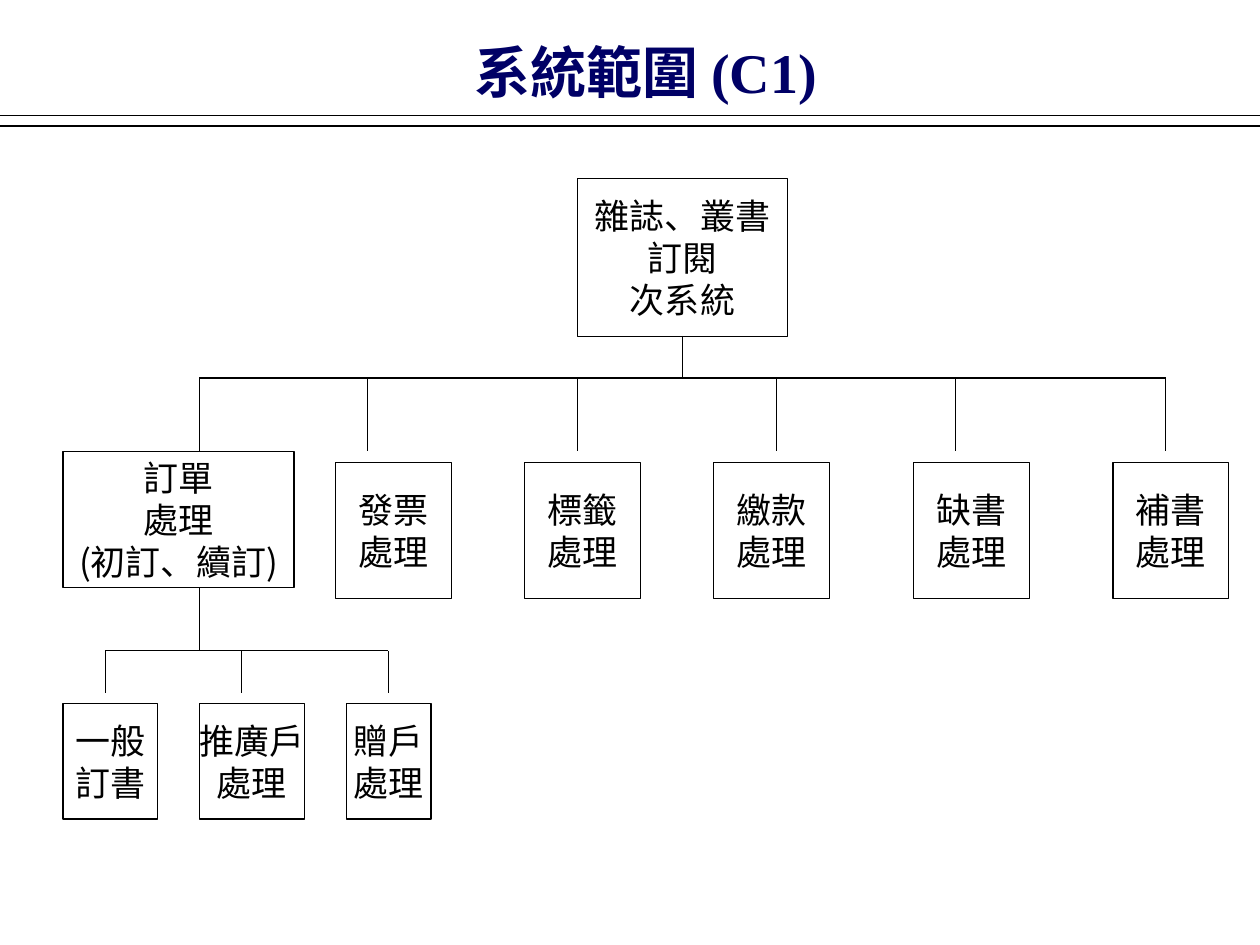
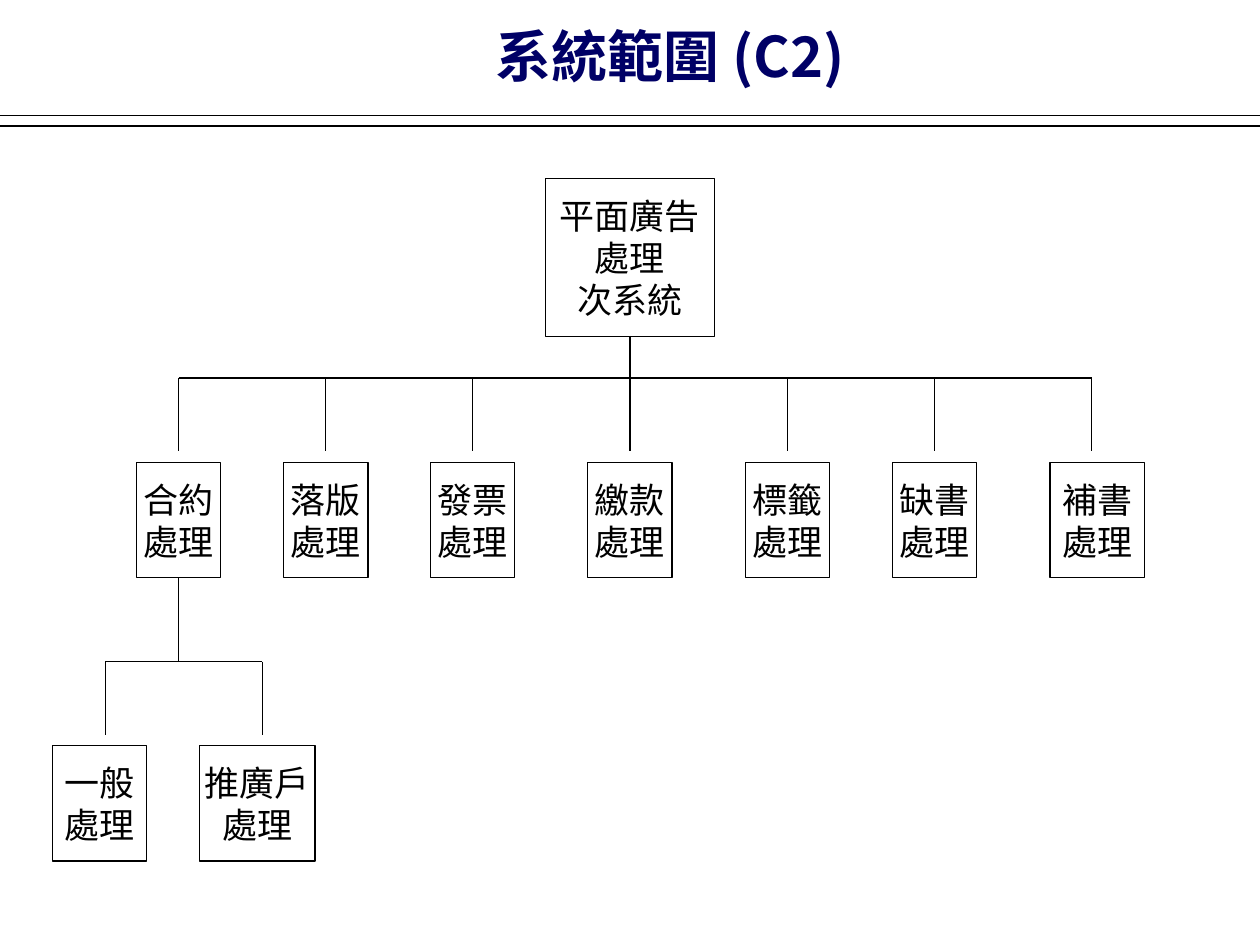
import pptx
import pptx.util
import pptx.dml.color
import pptx.enum.shapes
import pptx.enum.text
import pptx.oxml
import pptx.oxml.ns
import lxml.etree

Cm = pptx.util.Cm
Pt = pptx.util.Pt
qn = pptx.oxml.ns.qn
NAVY = pptx.dml.color.RGBColor(0x00, 0x00, 0x66)
BLACK = pptx.dml.color.RGBColor(0x00, 0x00, 0x00)
SANS = "Noto Sans CJK SC"
SERIF = "Times New Roman"
WIDTH = 25.4
BUS = 7.62
ROW = 9.32


def rule(slide, x1, y1, x2, y2):
    line = slide.shapes.add_connector(
        pptx.enum.shapes.MSO_CONNECTOR.STRAIGHT, Cm(x1), Cm(y1), Cm(x2), Cm(y2))
    line.line.color.rgb = BLACK
    line.line.width = Pt(0.75)
    lxml.etree.SubElement(line._element.spPr, qn("a:effectLst"))


def write(frame, text, size, color, face):
    frame.text = text
    for para in frame.paragraphs:
        para.line_spacing = Pt(size * 1.2)
        font = para.font
        font.size = Pt(size)
        font.color.rgb = color
        font.name = face
        base = para._p.pPr.find(qn("a:defRPr"))
        lxml.etree.SubElement(base, qn("a:ea"), typeface=SANS)


charts = [
    {
        "title": ("系統範圍 (C1)", 9.31, 0.64, SERIF),
        "root": 13.76,
        "drops": [4.02, 7.41, 11.64, 15.66, 19.26, 23.5],
        "stem": (4.02, 11.85, 13.12),
        "twigs": [2.12, 4.87, 7.83],
        "tip": 13.97,
        "boxes": [
            ("雜誌、叢書\n訂閱\n次系統", 11.64, 3.6, 4.24, 3.18, SANS),
            ("訂單\n處理\n(初訂、續訂)", 1.27, 9.1, 4.66, 2.75, SANS),
            ("發票\n處理", 6.77, ROW, 2.33, 2.75, SANS),
            ("標籤\n處理", 10.58, ROW, 2.33, 2.75, SANS),
            ("繳款\n處理", 14.39, ROW, 2.33, 2.75, SANS),
            ("缺書\n處理", 18.42, ROW, 2.33, 2.75, SANS),
            ("補書\n處理", 22.44, ROW, 2.33, 2.75, SANS),
            ("一般\n訂書", 1.27, 14.18, 1.9, 2.33, SANS),
            ("推廣戶\n處理", 4.02, 14.18, 2.12, 2.33, SANS),
            ("贈戶\n處理", 6.99, 14.18, 1.7, 2.33, SANS),
        ],
    },
    {
        "title": ("系統範圍 (C2)", 9.74, 0.31, SANS),
        "root": 12.7,
        "drops": [3.6, 6.56, 9.53, 12.7, 15.88, 18.84, 22.01],
        "stem": (3.6, 11.64, 13.34),
        "twigs": [2.12, 5.29],
        "tip": 14.82,
        "boxes": [
            ("平面廣告\n處理\n次系統", 11.0, 3.6, 3.4, 3.18, SERIF),
            ("合約\n處理", 2.75, ROW, 1.7, 2.33, SANS),
            ("落版\n處理", 5.72, ROW, 1.7, 2.33, SANS),
            ("發票\n處理", 8.68, ROW, 1.7, 2.33, SANS),
            ("繳款\n處理", 11.85, ROW, 1.7, 2.33, SANS),
            ("標籤\n處理", 15.03, ROW, 1.7, 2.33, SANS),
            ("缺書\n處理", 17.99, ROW, 1.7, 2.33, SANS),
            ("補書\n處理", 21.17, ROW, 1.9, 2.33, SANS),
            ("一般\n處理", 1.06, 15.03, 1.9, 2.33, SANS),
            ("推廣戶\n處理", 4.02, 15.03, 2.33, 2.33, SANS),
        ],
    },
]

deck = pptx.Presentation()
deck.slide_width = Cm(WIDTH)
deck.slide_height = Cm(19.05)

for chart in charts:
    slide = deck.slides.add_slide(deck.slide_layouts[6])

    text, left, top, face = chart["title"]
    head = slide.shapes.add_textbox(Cm(left), Cm(top), Cm(8.26), Cm(1.63))
    head.text_frame.word_wrap = True
    write(head.text_frame, text, 32, NAVY, face)
    head.text_frame.paragraphs[0].font.bold = True
    for y in (2.33, 2.54):
        rule(slide, 0, y, WIDTH, y)

    for text, left, top, wide, high, face in chart["boxes"]:
        box = slide.shapes.add_shape(
            pptx.enum.shapes.MSO_SHAPE.RECTANGLE, Cm(left), Cm(top), Cm(wide), Cm(high))
        box.shadow.inherit = False
        box.fill.background()
        box.line.color.rgb = BLACK
        box.line.width = Pt(0.75)
        frame = box.text_frame
        frame.word_wrap = False
        frame.vertical_anchor = pptx.enum.text.MSO_ANCHOR.MIDDLE
        write(frame, text, 20, BLACK, face)
        for para in frame.paragraphs:
            para.alignment = pptx.enum.text.PP_ALIGN.CENTER

    drops = chart["drops"]
    rule(slide, chart["root"], 6.77, chart["root"], BUS)
    rule(slide, drops[0], BUS, drops[-1], BUS)
    for x in drops:
        rule(slide, x, BUS, x, 9.1)

    x, top, fork = chart["stem"]
    twigs = chart["twigs"]
    rule(slide, x, top, x, fork)
    rule(slide, twigs[0], fork, twigs[-1], fork)
    for x in twigs:
        rule(slide, x, fork, x, chart["tip"])

deck.save("out.pptx")
